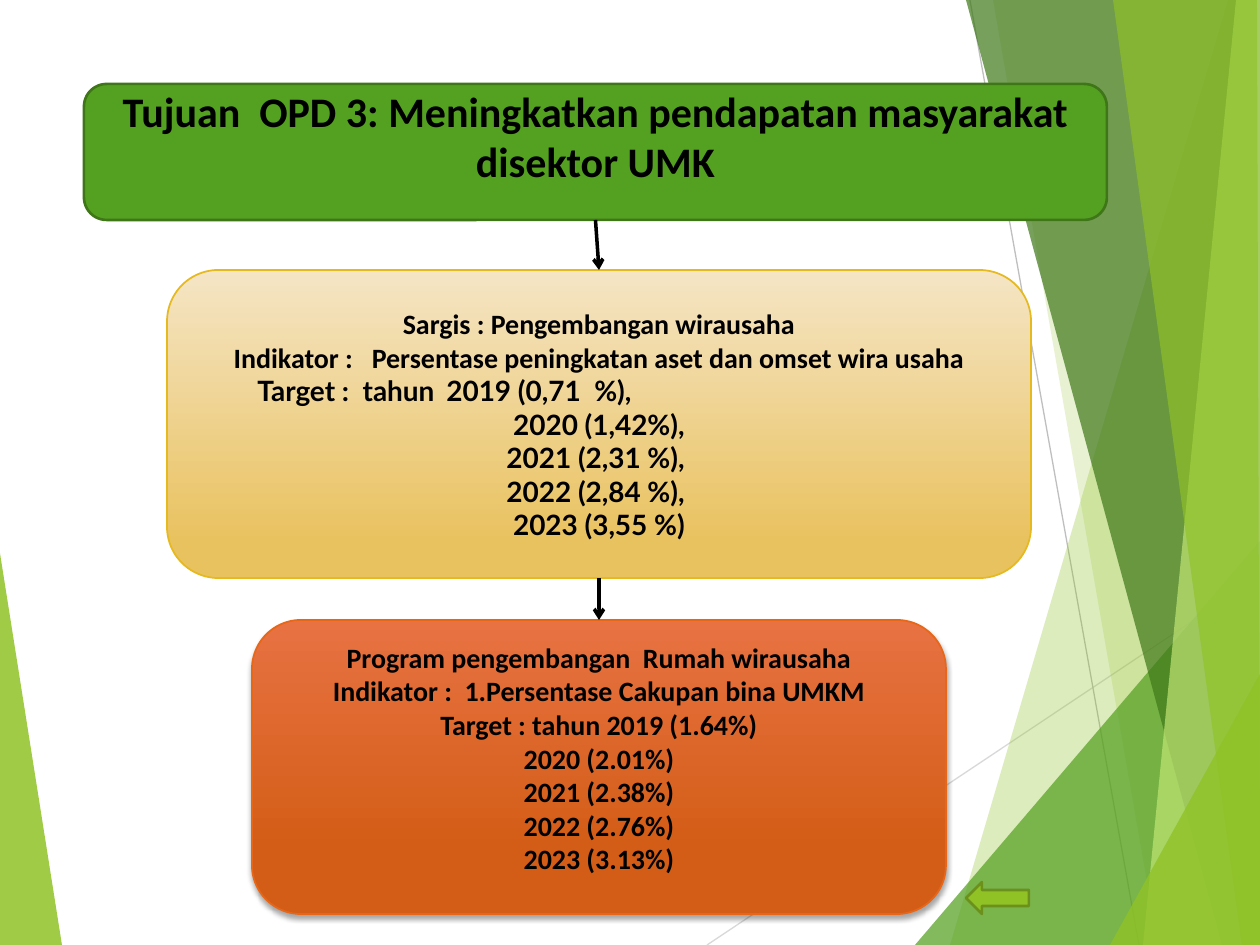
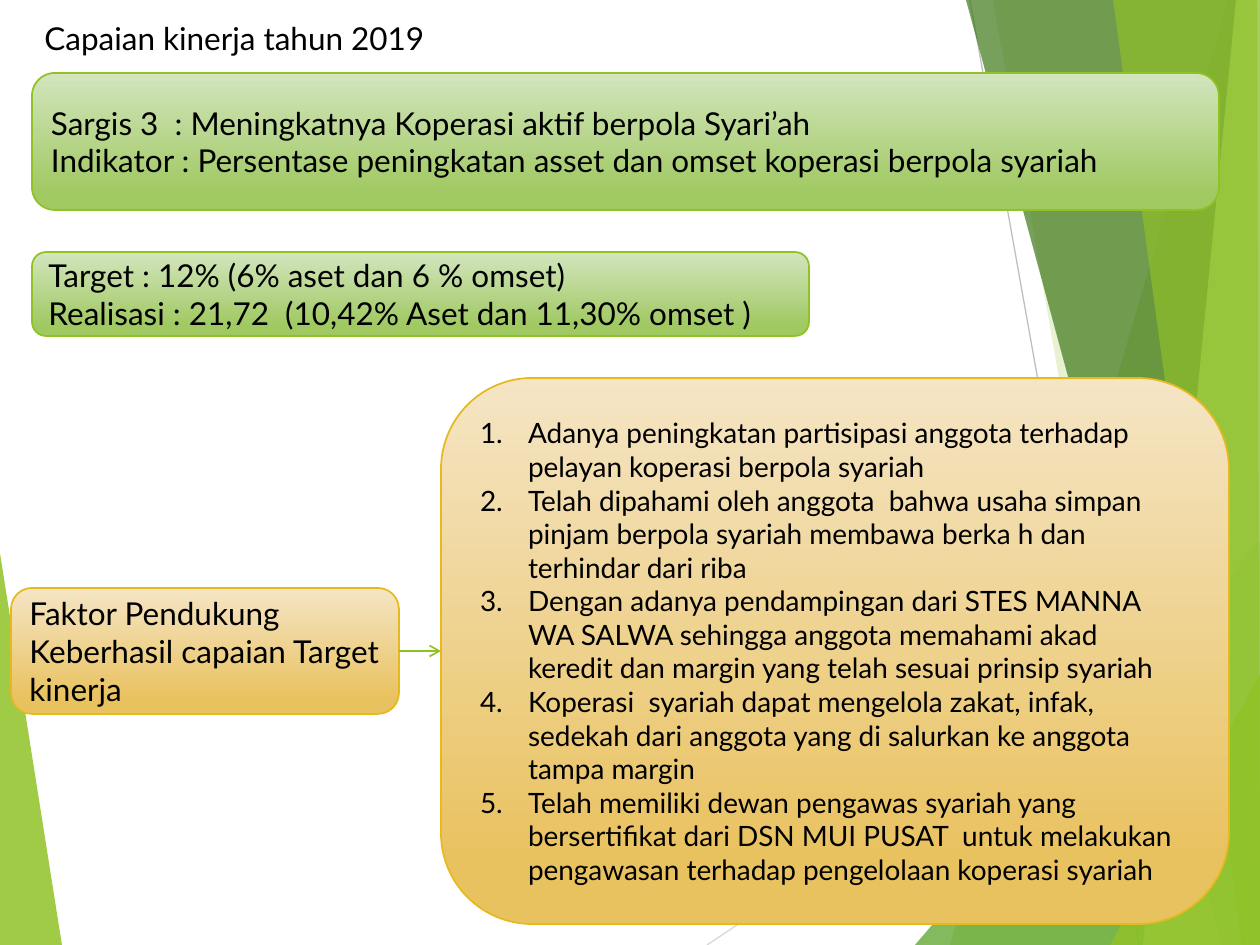
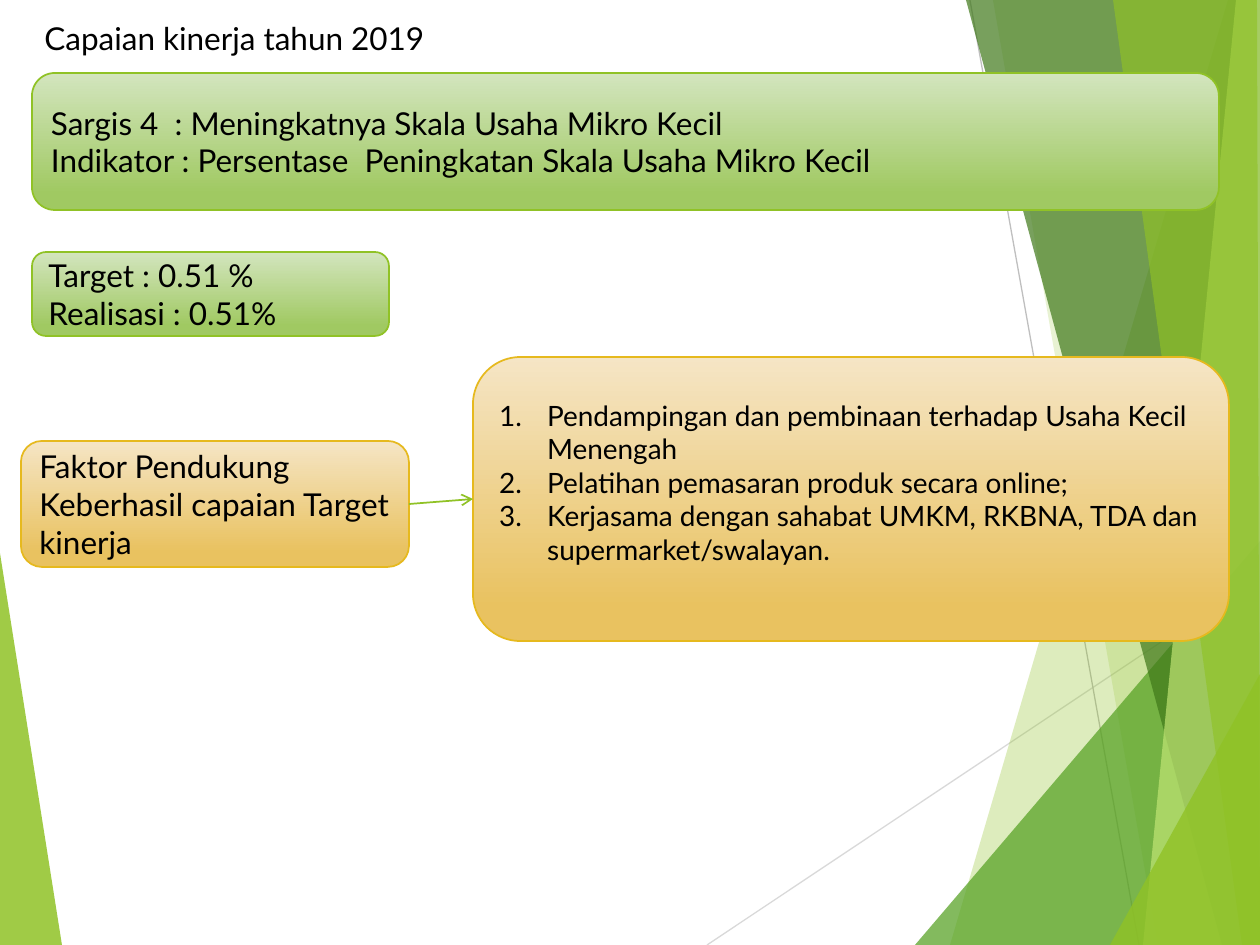
from dataclasses import dataclass

from lxml import etree
from pptx import Presentation
from pptx.dml.color import RGBColor
from pptx.enum.shapes import MSO_CONNECTOR, MSO_SHAPE
from pptx.enum.text import MSO_ANCHOR, PP_ALIGN
from pptx.oxml.ns import qn
from pptx.util import Emu, Pt

EMU_PER_PX = 914400 / 126
SLIDE_W, SLIDE_H = 1260, 945

ROUND_RECT, LEFT_ARROW = MSO_SHAPE.ROUNDED_RECTANGLE, MSO_SHAPE.LEFT_ARROW
STRAIGHT = MSO_CONNECTOR.STRAIGHT
LEFT, CENTER = PP_ALIGN.LEFT, PP_ALIGN.CENTER
TOP, MIDDLE = MSO_ANCHOR.TOP, MSO_ANCHOR.MIDDLE
SIDE_TOP, SIDE_LEFT, SIDE_BOTTOM, SIDE_RIGHT = range(4)

BLACK = RGBColor(0x00, 0x00, 0x00)
LIME = RGBColor(0x90, 0xC2, 0x26)
PALE_LIME = RGBColor(0xC0, 0xE4, 0x74)
GREEN = RGBColor(0x54, 0xA0, 0x21)
DARK_GREEN = RGBColor(0x3F, 0x78, 0x19)
GREEN_EDGE = RGBColor(0x3E, 0x76, 0x18)
OLIVE = RGBColor(0x6B, 0x90, 0x1C)
GOLD = RGBColor(0xE6, 0xB9, 0x1E)
ORANGE = RGBColor(0xE7, 0x66, 0x18)
LIGHT_GRAY = RGBColor(0xD9, 0xD9, 0xD9)
GRAY = RGBColor(0xBF, 0xBF, 0xBF)

CALIBRI, LATO = "Calibri", "Lato"


@dataclass(frozen=True)
class Style:
    """Fill (one colour, or top and bottom of a gradient) and outline."""
    fill: tuple[RGBColor, ...]
    edge: RGBColor
    edge_pt: float = 1
    gradient_end: float = 0.88
    shadow: bool = False


@dataclass(frozen=True)
class Para:
    text: str
    size: int = 18
    font: str = LATO
    bold: bool = False
    align: PP_ALIGN = LEFT
    numbered: bool = False
    first_indent: int = 0
    tab: int = 0


@dataclass(frozen=True)
class Box:
    left: int
    top: int
    width: int
    height: int
    style: Style
    paras: tuple[Para, ...] = ()
    anchor: MSO_ANCHOR = MIDDLE
    inset_top: int = 6
    inset_bottom: int = 6
    shape: MSO_SHAPE = ROUND_RECT


@dataclass(frozen=True)
class Band:
    color: RGBColor
    opacity: int
    points: tuple[tuple[int, int], ...]


@dataclass(frozen=True)
class Rule:
    color: RGBColor
    start: tuple[int, int]
    end: tuple[int, int]


@dataclass(frozen=True)
class Achievement:
    """One "Capaian kinerja" slide."""
    goal: tuple[str, str]
    result: tuple[str, str]
    result_width: int
    factor_at: tuple[int, int]
    reasons: tuple[str, ...]
    reasons_at: tuple[int, int, int, int]
    reasons_inset_bottom: int = 6


GREEN_SOLID = Style((GREEN,), GREEN_EDGE, 1.5)
ARROW_SOLID = Style((LIME,), OLIVE, 1.5)
GREEN_FADE = Style((RGBColor(0xD3, 0xE5, 0xBE), RGBColor(0xA0, 0xC9, 0x62)), LIME)
GOLD_FADE = Style((RGBColor(0xF5, 0xE5, 0xC5), RGBColor(0xE9, 0xC2, 0x60)), GOLD)
ORANGE_FADE = Style((RGBColor(0xE8, 0x72, 0x42), RGBColor(0xD3, 0x5D, 0x16)), ORANGE,
                    gradient_end=0.78, shadow=True)

LEFT_BAND = Band(LIME, 85, ((0, 553), (62, 945), (0, 945)))
RULES = (
    Rule(LIGHT_GRAY, (707, 945), (1260, 576)),
    Rule(GRAY, (970, 0), (1139, 945)),
)
RIGHT_BANDS = (
    Band(LIME, 30, ((1228, 0), (950, 945), (1260, 945), (1260, 0))),
    Band(LIME, 20, ((993, 0), (1158, 945), (1260, 945), (1260, 0))),
    Band(GREEN, 72, ((915, 945), (1260, 541), (1260, 945))),
    Band(DARK_GREEN, 70, ((966, 0), (1222, 945), (1260, 945), (1260, 0))),
    Band(PALE_LIME, 70, ((1236, 0), (1143, 945), (1260, 945), (1260, 0))),
    Band(LIME, 65, ((1113, 0), (1242, 945), (1260, 945), (1257, 0))),
    Band(LIME, 80, ((1110, 945), (1260, 674), (1260, 945))),
)


def bold_line(text: str, font: str = CALIBRI) -> Para:
    return Para(text, 16, font, bold=True, align=CENTER)


OBJECTIVE_BOXES = (
    Box(84, 84, 1023, 136, GREEN_SOLID, (
        Para("Tujuan  OPD 3: Meningkatkan pendapatan masyarakat disektor UMK",
             24, CALIBRI, bold=True, align=CENTER),
    ), inset_top=0, inset_bottom=32),
    Box(167, 270, 864, 308, GOLD_FADE, (
        bold_line("Sargis : Pengembangan wirausaha"),
        bold_line("Indikator :   Persentase peningkatan aset dan omset wira usaha"),
        Para("Target :  tahun\t2019 (0,71  %),", 16, LATO, bold=True,
             first_indent=63, tab=274),
        bold_line(" 2020 (1,42%), ", LATO),
        bold_line("2021 (2,31 %), ", LATO),
        bold_line("2022 (2,84 %), ", LATO),
        bold_line("2023 (3,55 %)", LATO),
    )),
    Box(252, 620, 694, 294, ORANGE_FADE, tuple(bold_line(t) for t in (
        "Program pengembangan  Rumah wirausaha",
        "Indikator :  1.Persentase Cakupan bina UMKM",
        "Target : tahun 2019 (1.64%)",
        "2020 (2.01%)",
        "2021 (2.38%)",
        "2022 (2.76%)",
        "2023 (3.13%)",
    )), anchor=TOP),
)
BACK_ARROW = Box(966, 882, 63, 32, ARROW_SOLID, shape=LEFT_ARROW)

ACHIEVEMENTS = (
    Achievement(
        ("Sargis 3  : Meningkatnya Koperasi aktif berpola Syari’ah",
         "Indikator : Persentase peningkatan asset dan omset koperasi berpola syariah"),
        ("Target : 12% (6% aset dan 6 % omset)",
         "Realisasi : 21,72  (10,42% Aset dan 11,30% omset )"),
        777, (11, 588),
        ("Adanya peningkatan partisipasi anggota terhadap pelayan koperasi berpola syariah",
         "Telah dipahami oleh anggota  bahwa usaha simpan pinjam berpola syariah "
         "membawa berka h dan terhindar dari riba",
         "Dengan adanya pendampingan dari STES MANNA WA SALWA sehingga anggota "
         "memahami akad keredit dan margin yang telah sesuai prinsip syariah",
         "Koperasi  syariah dapat mengelola zakat, infak, sedekah dari anggota "
         "yang di salurkan ke anggota tampa margin",
         "Telah memiliki dewan pengawas syariah yang bersertifikat dari DSN MUI PUSAT  "
         "untuk melakukan pengawasan terhadap pengelolaan koperasi syariah"),
        (441, 378, 788, 546),
    ),
    Achievement(
        ("Sargis 4  : Meningkatnya Skala Usaha Mikro Kecil",
         "Indikator : Persentase  Peningkatan Skala Usaha Mikro Kecil"),
        ("Target : 0.51 %", "Realisasi : 0.51%"),
        357, (21, 441),
        ("Pendampingan dan pembinaan terhadap Usaha Kecil Menengah",
         "Pelatihan pemasaran produk secara online;",
         "Kerjasama dengan sahabat UMKM, RKBNA, TDA dan supermarket/swalayan."),
        (473, 357, 756, 284), reasons_inset_bottom=40,
    ),
)


def px(value: float) -> Emu:
    return Emu(round(value * EMU_PER_PX))


def sub(parent, tag: str, **attrs):
    return etree.SubElement(parent, qn(tag), {k: str(v) for k, v in attrs.items()})


def add_paras(tf, paras: tuple[Para, ...]) -> None:
    tf.word_wrap = True
    for i, para in enumerate(paras):
        p = tf.paragraphs[0] if i == 0 else tf.add_paragraph()
        p.add_run().text = para.text
        p.alignment = para.align
        pPr = p._p.get_or_add_pPr()
        if para.numbered:
            pPr.set("marL", str(px(48)))
            pPr.set("indent", str(-px(48)))
            sub(pPr, "a:buFont", typeface="+mj-lt")
            sub(pPr, "a:buAutoNum", type="arabicPeriod")
        if para.first_indent:
            pPr.set("marL", "0")
            pPr.set("indent", str(px(para.first_indent)))
        if para.tab:
            sub(sub(pPr, "a:tabLst"), "a:tab", pos=px(para.tab), algn="l")
        p.font.size, p.font.name, p.font.bold = Pt(para.size), para.font, para.bold
        p.font.color.rgb = BLACK


def add_shadow(sp) -> None:
    effects = sp.element.spPr.find(qn("a:effectLst"))
    shadow = sub(effects, "a:outerShdw", blurRad=Pt(3), dist=Pt(2), dir=5400000,
                 rotWithShape=0)
    sub(sub(shadow, "a:srgbClr", val=BLACK), "a:alpha", val=35000)


def add_box(slide, box: Box):
    sp = slide.shapes.add_shape(box.shape, px(box.left), px(box.top),
                                px(box.width), px(box.height))
    style = box.style
    if len(style.fill) == 1:
        sp.fill.solid()
        sp.fill.fore_color.rgb = style.fill[0]
    else:
        sp.fill.gradient()
        sp.fill.gradient_angle = 270
        for stop, color, position in zip(sp.fill.gradient_stops, style.fill,
                                         (0, style.gradient_end)):
            stop.color.rgb, stop.position = color, position
    sp.line.color.rgb, sp.line.width = style.edge, Pt(style.edge_pt)
    sp.shadow.inherit = False
    if style.shadow:
        add_shadow(sp)
    if box.paras:
        tf = sp.text_frame
        tf.vertical_anchor = box.anchor
        tf.margin_top, tf.margin_bottom = px(box.inset_top), px(box.inset_bottom)
        add_paras(tf, box.paras)
    return sp


def add_line(slide, color: RGBColor, width: float, start=(0, 0), end=(0, 0)):
    line = slide.shapes.add_connector(STRAIGHT, *map(px, start + end))
    line.line.color.rgb, line.line.width = color, Pt(width)
    sub(line.element.spPr, "a:effectLst")
    return line


def join(slide, source, source_side: int, target, target_side: int,
         color: RGBColor, width: float) -> None:
    """Draw an arrow between the side middles of two boxes."""
    line = add_line(slide, color, width)
    line.begin_connect(source, source_side)
    line.end_connect(target, target_side)
    sub(line.element.spPr.find(qn("a:ln")), "a:tailEnd", type="arrow")


def add_band(slide, band: Band) -> None:
    builder = slide.shapes.build_freeform(*band.points[0], scale=EMU_PER_PX)
    builder.add_line_segments(band.points[1:], close=True)
    sp = builder.convert_to_shape()
    sp.fill.solid()
    sp.fill.fore_color.rgb = band.color
    color = sp.element.spPr.find(qn("a:solidFill")).find(qn("a:srgbClr"))
    sub(color, "a:alpha", val=band.opacity * 1000)
    sp.line.fill.background()
    sp.shadow.inherit = False


def add_slide(prs):
    """Add a blank slide with the green facets behind its content."""
    slide = prs.slides.add_slide(prs.slide_layouts[6])
    add_band(slide, LEFT_BAND)
    for rule in RULES:
        add_line(slide, rule.color, 0.75, rule.start, rule.end)
    for band in RIGHT_BANDS:
        add_band(slide, band)
    return slide


def objective_slide(prs) -> None:
    slide = add_slide(prs)
    boxes = [add_box(slide, box) for box in OBJECTIVE_BOXES]
    for upper, lower in zip(boxes, boxes[1:]):
        join(slide, upper, SIDE_BOTTOM, lower, SIDE_TOP, BLACK, 2)
    add_box(slide, BACK_ARROW)


def achievement_slide(prs, item: Achievement) -> None:
    slide = add_slide(prs)
    add_box(slide, Box(32, 73, 1187, 137, GREEN_FADE, tuple(map(Para, item.goal))))
    add_box(slide, Box(32, 252, item.result_width, 84, GREEN_FADE,
                       tuple(map(Para, item.result))))
    factor = add_box(slide, Box(*item.factor_at, 388, 126, GOLD_FADE, (
        Para("Faktor Pendukung Keberhasil capaian Target kinerja"),)))
    reasons = add_box(slide, Box(
        *item.reasons_at, GOLD_FADE,
        tuple(Para(text, 16, numbered=True) for text in item.reasons),
        inset_bottom=item.reasons_inset_bottom))
    join(slide, factor, SIDE_RIGHT, reasons, SIDE_LEFT, LIME, 1)
    heading = slide.shapes.add_textbox(px(32), px(13), px(449), px(50))
    add_paras(heading.text_frame, (Para("Capaian kinerja tahun 2019"),))


def main() -> None:
    prs = Presentation()
    prs.slide_width, prs.slide_height = px(SLIDE_W), px(SLIDE_H)
    objective_slide(prs)
    for item in ACHIEVEMENTS:
        achievement_slide(prs, item)
    prs.save("out.pptx")


if __name__ == "__main__":
    main()
